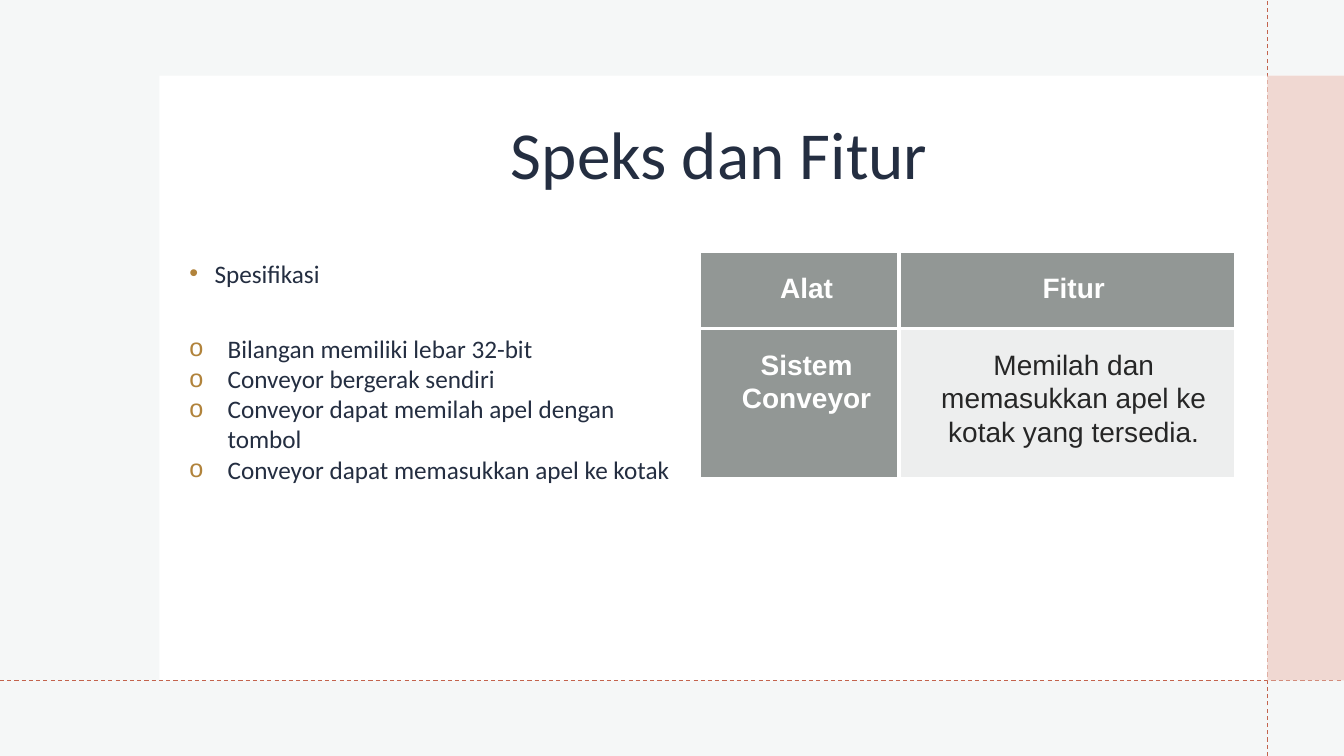
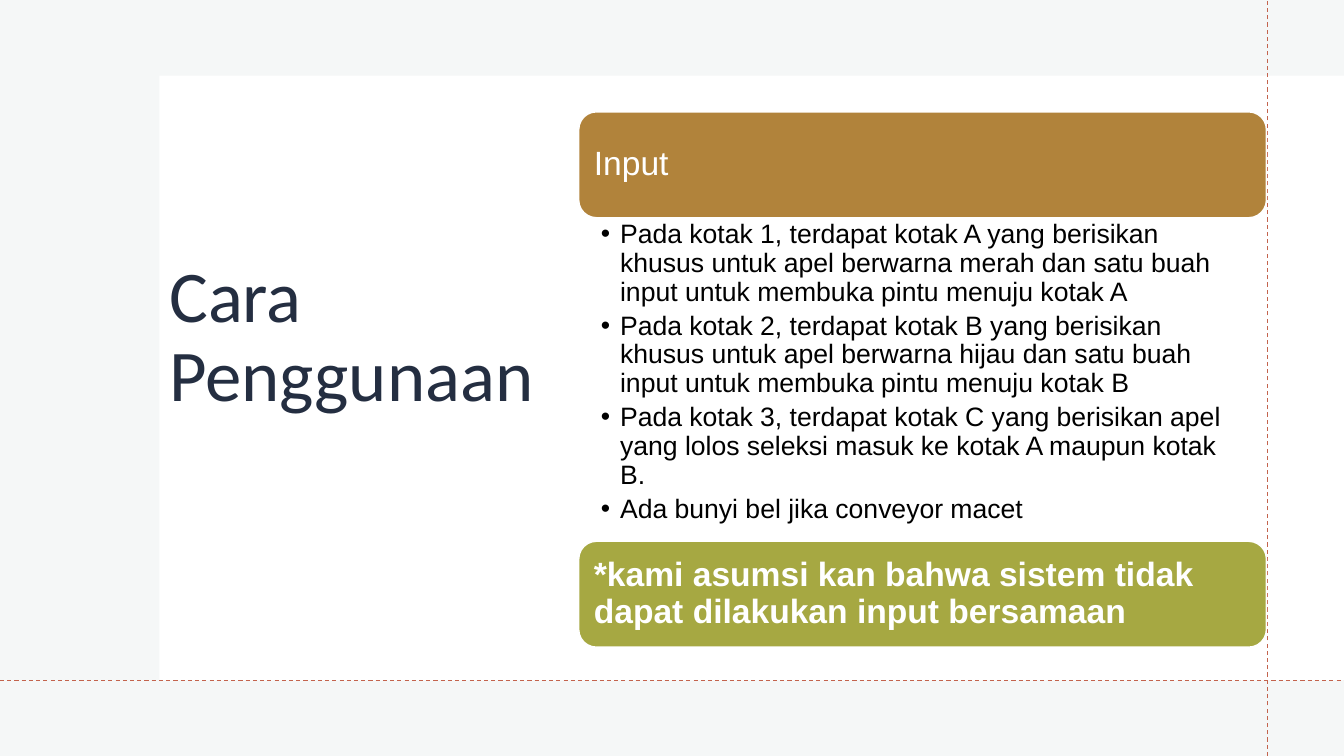
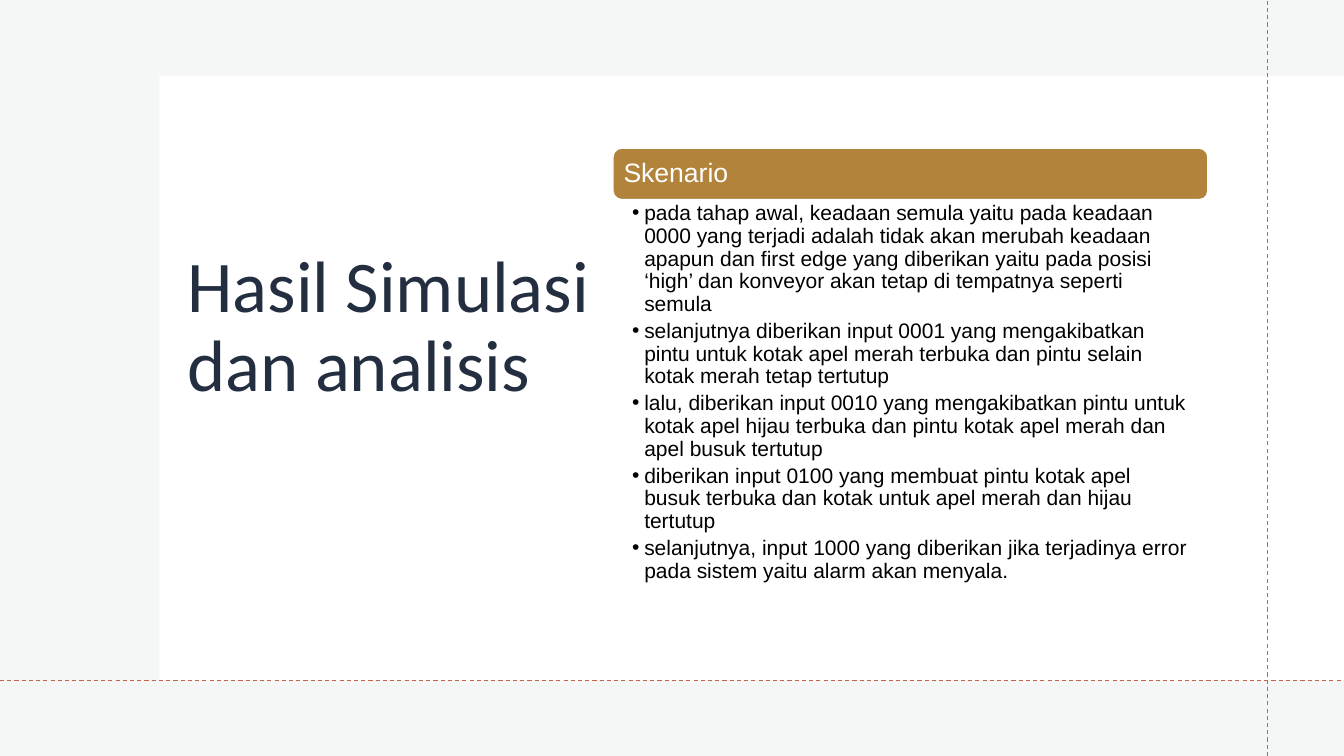
from lxml import etree
from pptx import Presentation
from pptx.dml.color import RGBColor
from pptx.enum.dml import MSO_LINE
from pptx.enum.shapes import MSO_CONNECTOR, MSO_SHAPE
from pptx.enum.text import MSO_ANCHOR, PP_ALIGN
from pptx.oxml.ns import qn
from pptx.util import Inches, Pt

RECT, ROUNDED = MSO_SHAPE.RECTANGLE, MSO_SHAPE.ROUNDED_RECTANGLE
STRAIGHT, DASH = MSO_CONNECTOR.STRAIGHT, MSO_LINE.DASH
MIDDLE, BOTTOM = MSO_ANCHOR.MIDDLE, MSO_ANCHOR.BOTTOM
LEFT, CENTER = PP_ALIGN.LEFT, PP_ALIGN.CENTER

WHITE = RGBColor(0xFF, 0xFF, 0xFF)
BLACK = RGBColor(0x00, 0x00, 0x00)
MIST = RGBColor(0xF5, 0xF7, 0xF7)
NAVY = RGBColor(0x24, 0x2E, 0x41)
RUST = RGBColor(0xC3, 0x63, 0x4D)
BLUSH = RGBColor(0xF0, 0xD8, 0xD2)
OCHRE = RGBColor(0xB1, 0x83, 0x3B)
OLIVE = RGBColor(0xA6, 0xA8, 0x42)
SLATE = RGBColor(0x92, 0x97, 0x95)
PALE = RGBColor(0xED, 0xEE, 0xEE)
CHARCOAL = RGBColor(0x26, 0x26, 0x26)

HEADING_FONT, BODY_FONT = "Calibri", "Arial"
PANEL_TOP, PANEL_BOTTOM = 0.75, 6.75
RULE_X = 12.57
SLIDE_W, SLIDE_H = 13.33, 7.5

prs = Presentation()
prs.slide_width, prs.slide_height = Inches(SLIDE_W), Inches(SLIDE_H)


def new_slide(title, box, size, anchor):
    """Add a slide with the shared panel, dashed rules and title."""
    s = prs.slides.add_slide(prs.slide_layouts[6])
    s.background.fill.solid()
    s.background.fill.fore_color.rgb = MIST
    sp = s.shapes.add_shape(RECT, Inches(1.58), Inches(PANEL_TOP),
                            Inches(11.75), Inches(PANEL_BOTTOM - PANEL_TOP))
    sp.shadow.inherit = False
    sp.fill.solid()
    sp.fill.fore_color.rgb = WHITE
    sp.line.fill.background()
    for ends in ((RULE_X, SLIDE_H, RULE_X, 0),
                 (0, PANEL_BOTTOM, SLIDE_W, PANEL_BOTTOM)):
        rule = s.shapes.add_connector(STRAIGHT, *map(Inches, ends))
        rule.line.color.rgb = RUST
        rule.line.width = Pt(0.75)
        rule.line.dash_style = DASH
        etree.SubElement(rule.element.spPr, qn("a:effectLst"))
    tf = s.shapes.add_textbox(*map(Inches, box)).text_frame
    tf.word_wrap = True
    tf.vertical_anchor = anchor
    p = tf.paragraphs[0]
    p.line_spacing = 0.9
    r = p.add_run()
    r.text = title
    r.font.size, r.font.name, r.font.color.rgb = Pt(size), HEADING_FONT, NAVY
    return s


def add_bullet(p, char, indent, color):
    """Give a paragraph a hanging bullet."""
    pPr = p._p.get_or_add_pPr()
    pPr.set("marL", str(Inches(indent)))
    pPr.set("indent", str(-Inches(indent)))
    clr = etree.SubElement(pPr, qn("a:buClr"))
    etree.SubElement(clr, qn("a:srgbClr"), val=str(color))
    etree.SubElement(pPr, qn("a:buFont"), typeface=BODY_FONT)
    etree.SubElement(pPr, qn("a:buChar"), char=char)


# Slide 1: specifications and features
s = new_slide("Speks dan Fitur", (4.97, PANEL_TOP, 4.97, 1.22), 48, BOTTOM)

sp = s.shapes.add_shape(RECT, Inches(RULE_X), Inches(PANEL_TOP),
                        Inches(SLIDE_W - RULE_X),
                        Inches(PANEL_BOTTOM - PANEL_TOP))
sp.shadow.inherit = False
sp.fill.solid()
sp.fill.fore_color.rgb = BLUSH
sp.line.fill.background()

# Specification list: text, bullet, indent, space before
specs = [
    ("Spesifikasi", "•", 0.25, 0),
    ("Bilangan memiliki lebar 32-bit", "o", 0.38, 32),
    ("Conveyor bergerak sendiri", "o", 0.38, 0),
    ("Conveyor dapat memilah apel dengan tombol", "o", 0.38, 0),
    ("Conveyor dapat memasukkan apel ke kotak", "o", 0.38, 0),
]
tf = s.shapes.add_textbox(Inches(1.78), Inches(2.51),
                          Inches(4.97), Inches(2.82)).text_frame
tf.word_wrap = True
for i, (text, char, indent, before) in enumerate(specs):
    p = tf.add_paragraph() if i else tf.paragraphs[0]
    p.space_before = Pt(before)
    add_bullet(p, char, indent, OCHRE)
    r = p.add_run()
    r.text = text
    r.font.size, r.font.name, r.font.color.rgb = Pt(18), HEADING_FONT, NAVY

# Feature table
rows = [
    ("Alat", "Fitur"),
    ("Sistem Conveyor", "Memilah dan memasukkan apel ke kotak yang tersedia."),
]
table = s.shapes.add_table(2, 2, Inches(6.95), Inches(2.5),
                           Inches(5.3), Inches(2.24)).table
table.first_row = table.horz_banding = False
for col, width in zip(table.columns, (1.97, 3.33)):
    col.width = Inches(width)
for row, height in zip(table.rows, (0.76, 1.48)):
    row.height = Inches(height)
for i, row in enumerate(rows):
    for j, text in enumerate(row):
        is_header = i == 0 or j == 0
        cell = table.cell(i, j)
        cell.fill.solid()
        cell.fill.fore_color.rgb = SLATE if is_header else PALE
        cell.margin_left = Inches(0.32)
        cell.margin_right = cell.margin_top = cell.margin_bottom = Inches(0.19)
        p = cell.text_frame.paragraphs[0]
        p.alignment = CENTER
        p.line_spacing = 1.07
        r = p.add_run()
        r.text = text
        r.font.size, r.font.name, r.font.bold = Pt(20), BODY_FONT, is_header
        r.font.color.rgb = WHITE if is_header else CHARCOAL
        # White borders on the inner edges
        tcPr = cell._tc.get_or_add_tcPr()
        edges = ("a:lnL" if j else "a:lnR", "a:lnT" if i else "a:lnB")
        for k, edge in enumerate(edges):
            ln = etree.Element(qn(edge), w=str(Pt(3)))
            fill = etree.SubElement(ln, qn("a:solidFill"))
            etree.SubElement(fill, qn("a:srgbClr"), val=str(WHITE))
            tcPr.insert(k, ln)

# Slides 2 and 3: title on the left, bars and bullets on the right
# Bar: text, top, colour, bold
sections = [
    dict(
        title="Cara Penggunaan", title_box=(1.58, 1.03, 4.89, 4.65),
        left=5.74, width=6.82, bar_height=1.05, bar_size=24, bar_inset=0.1,
        bars=[("Input", 1.11, OCHRE, False),
              ("*kami asumsi kan bahwa sistem tidak dapat dilakukan input "
               "bersamaan", 5.37, OLIVE, True)],
        list_top=2.16, list_height=3.21, size=19, indent=0.19,
        insets=(0.22, 0.19),
        items=[
            "Pada kotak 1, terdapat kotak A yang berisikan khusus untuk apel "
            "berwarna merah dan satu buah input untuk membuka pintu menuju "
            "kotak A",
            "Pada kotak 2, terdapat kotak B yang berisikan khusus untuk apel "
            "berwarna hijau dan satu buah input untuk membuka pintu menuju "
            "kotak B",
            "Pada kotak 3, terdapat kotak C yang berisikan apel yang lolos "
            "seleksi masuk ke kotak A maupun kotak B.",
            "Ada bunyi bel jika conveyor macet",
        ]),
    dict(
        title="Hasil Simulasi dan analisis", title_box=(1.76, 0.64, 5.32, 5.24),
        left=6.08, width=5.9, bar_height=0.51, bar_size=19, bar_inset=0.08,
        bars=[("Skenario", 1.47, OCHRE, False)],
        list_top=1.98, list_height=4.04, size=15, indent=0.12,
        insets=(0.19, 0.15),
        items=[
            "pada tahap awal, keadaan semula yaitu pada keadaan 0000 yang "
            "terjadi adalah tidak akan merubah keadaan apapun dan first edge "
            "yang diberikan yaitu pada posisi ‘high’ dan konveyor akan tetap "
            "di tempatnya seperti semula",
            "selanjutnya diberikan input 0001 yang mengakibatkan pintu untuk "
            "kotak apel merah terbuka dan pintu selain kotak merah tetap "
            "tertutup",
            "lalu, diberikan input 0010 yang mengakibatkan pintu untuk kotak "
            "apel hijau terbuka dan pintu kotak apel merah dan apel busuk "
            "tertutup",
            "diberikan input 0100 yang membuat pintu kotak apel busuk terbuka "
            "dan kotak untuk apel merah dan hijau tertutup",
            "selanjutnya, input 1000 yang diberikan jika terjadinya error pada "
            "sistem yaitu alarm akan menyala.",
        ]),
]
for sec in sections:
    s = new_slide(sec["title"], sec["title_box"], 52, MIDDLE)
    left, width = Inches(sec["left"]), Inches(sec["width"])

    # Coloured bars
    for text, top, color, bold in sec["bars"]:
        sp = s.shapes.add_shape(ROUNDED, left, Inches(top), width,
                                Inches(sec["bar_height"]))
        sp.shadow.inherit = False
        sp.fill.solid()
        sp.fill.fore_color.rgb = color
        sp.line.color.rgb = WHITE
        sp.line.width = Pt(1)
        tf = sp.text_frame
        tf.word_wrap = True
        tf.vertical_anchor = MIDDLE
        tf.margin_left = tf.margin_right = Inches(sec["bar_inset"])
        tf.margin_top = tf.margin_bottom = Inches(sec["bar_inset"])
        p = tf.paragraphs[0]
        p.alignment = LEFT
        p.line_spacing = 0.9
        r = p.add_run()
        r.text = text
        r.font.size, r.font.name = Pt(sec["bar_size"]), BODY_FONT
        r.font.bold, r.font.color.rgb = bold, WHITE

    # Bullet list
    tf = s.shapes.add_textbox(left, Inches(sec["list_top"]), width,
                              Inches(sec["list_height"])).text_frame
    tf.word_wrap = True
    tf.margin_left, tf.margin_right = map(Inches, sec["insets"])
    tf.margin_top = tf.margin_bottom = Inches(0.03)
    for i, text in enumerate(sec["items"]):
        p = tf.add_paragraph() if i else tf.paragraphs[0]
        p.line_spacing = 0.9
        p.space_after = Pt(sec["size"] * 0.2)
        add_bullet(p, "•", sec["indent"], BLACK)
        r = p.add_run()
        r.text = text
        r.font.size, r.font.name = Pt(sec["size"]), BODY_FONT
        r.font.color.rgb = BLACK

prs.save("out.pptx")
